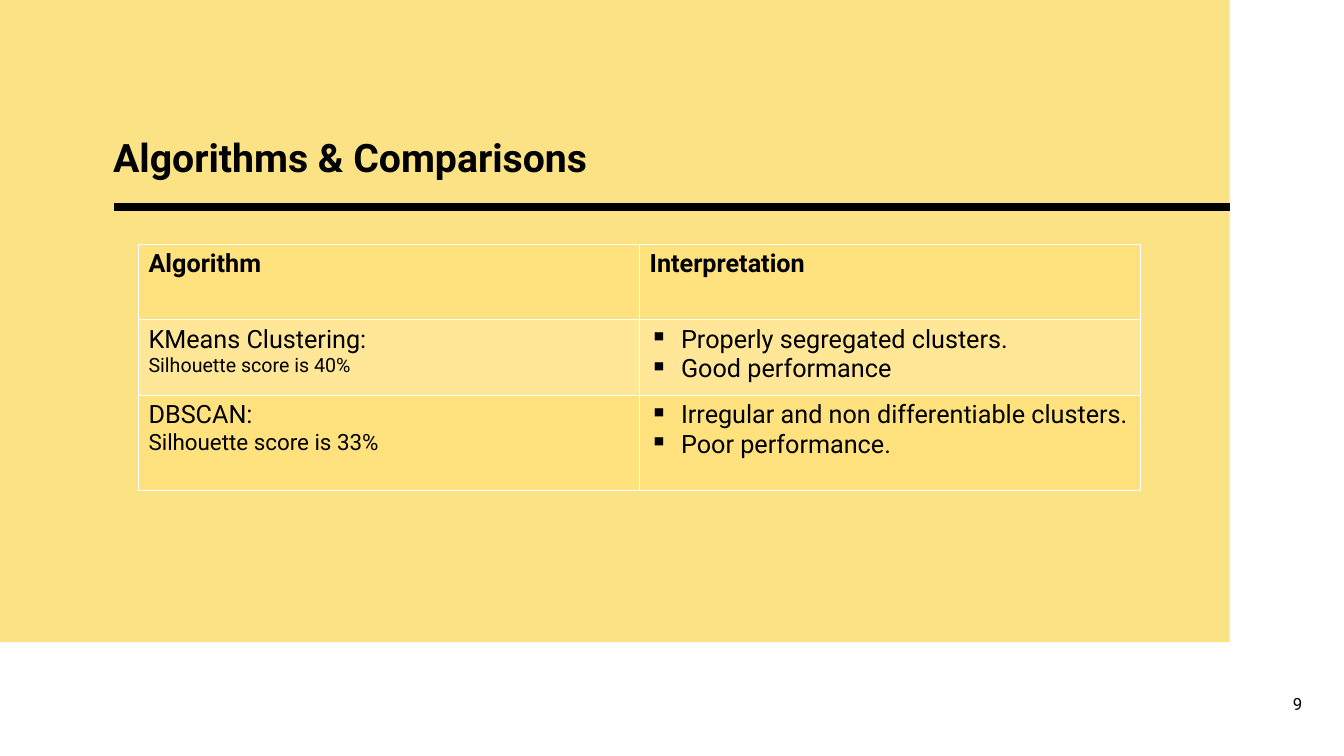
from lxml.etree import SubElement
from pptx import Presentation
from pptx.dml.color import RGBColor
from pptx.enum.shapes import MSO_CONNECTOR, MSO_SHAPE
from pptx.enum.text import MSO_ANCHOR, MSO_AUTO_SIZE, PP_ALIGN
from pptx.oxml.ns import qn
from pptx.util import Cm, Pt

BLACK = RGBColor(0x00, 0x00, 0x00)
WHITE = RGBColor(0xFF, 0xFF, 0xFF)
BAND_YELLOW = RGBColor(0xFB, 0xE2, 0x84)
CELL_YELLOW = RGBColor(0xFF, 0xE1, 0x7D)
PALE_YELLOW = RGBColor(0xFF, 0xE7, 0x97)
FONT = "Roboto"

TITLE = "Algorithms & Comparisons"
PAGE_NUMBER = "9"
HEADINGS = ("Algorithm", "Interpretation")
# name, score, score size in points, findings
ALGORITHMS = [
    ("KMeans Clustering:", "Silhouette score is 40%", 14,
     ("Properly segregated clusters.", "Good performance")),
    ("DBSCAN:", "Silhouette score is 33%", 16,
     ("Irregular and non differentiable clusters.", "Poor performance.")),
]
ROW_HEIGHTS = (Cm(1.9), Cm(1.9), Cm(2.41))
ROW_FILLS = (CELL_YELLOW, PALE_YELLOW, CELL_YELLOW)
COLUMN_WIDTH = Cm(12.63)
BAND_WIDTH, BAND_HEIGHT = Cm(30.99), Cm(16.18)
RULE_LEFT, RULE_TOP = Cm(2.87), Cm(5.21)


def set_attributes(target, values):
    for name, value in values.items():
        setattr(target, name, value)


def write_lines(frame, lines, bullet=None, align=PP_ALIGN.LEFT):
    """Fill a text frame with one paragraph per (text, size, bold) line."""
    for number, (text, size, bold) in enumerate(lines):
        para = frame.add_paragraph() if number else frame.paragraphs[0]
        para.alignment = align
        span = para.add_run()
        span.text = text
        set_attributes(span.font, {"name": FONT, "size": Pt(size), "bold": bold})
        span.font.color.rgb = BLACK
        if bullet:
            properties = para._p.get_or_add_pPr()
            properties.set("marL", str(Cm(0.79)))
            properties.set("indent", str(-Cm(0.79)))
            SubElement(properties, qn("a:buChar"), char=bullet)


def style_cell(cell, color):
    """Give a cell white borders on all sides and a solid fill."""
    properties = cell._tc.get_or_add_tcPr()
    for side in ("a:lnL", "a:lnR", "a:lnT", "a:lnB"):
        border = SubElement(properties, qn(side), w=str(Pt(1)))
        paint = SubElement(border, qn("a:solidFill"))
        SubElement(paint, qn("a:srgbClr"), val=str(WHITE))
    cell.fill.solid()
    cell.fill.fore_color.rgb = color


def add_background(page):
    band = page.shapes.add_shape(MSO_SHAPE.RECTANGLE, 0, 0, BAND_WIDTH, BAND_HEIGHT)
    band.shadow.inherit = False
    band.fill.solid()
    band.fill.fore_color.rgb = BAND_YELLOW
    band.line.fill.background()
    page.shapes.title.element.addprevious(band.element)

    rule = page.shapes.add_connector(
        MSO_CONNECTOR.STRAIGHT, RULE_LEFT, RULE_TOP, BAND_WIDTH, RULE_TOP)
    rule.line.color.rgb = BLACK
    rule.line.width = Pt(6)
    SubElement(rule.element.spPr, qn("a:effectLst"))


def add_title(page):
    title = page.shapes.title
    set_attributes(title, {"left": Cm(2.85), "top": Cm(2.77),
                           "width": Cm(28.04), "height": Cm(1.8)})
    frame = title.text_frame
    set_attributes(frame, {
        "margin_left": 0, "margin_top": 0, "margin_right": 0, "margin_bottom": 0,
        "vertical_anchor": MSO_ANCHOR.BOTTOM, "word_wrap": True,
        "auto_size": MSO_AUTO_SIZE.NONE})
    write_lines(frame, [(TITLE, 28, True)])
    frame.paragraphs[0].line_spacing = 0.9


def add_comparison(page):
    table = page.shapes.add_table(
        len(ROW_HEIGHTS), len(HEADINGS), Cm(3.49), Cm(6.16),
        COLUMN_WIDTH * len(HEADINGS), sum(ROW_HEIGHTS)).table
    for column in table.columns:
        column.width = COLUMN_WIDTH
    for row, height, color in zip(table.rows, ROW_HEIGHTS, ROW_FILLS):
        row.height = height
        for cell in row.cells:
            style_cell(cell, color)
    for column, heading in enumerate(HEADINGS):
        write_lines(table.cell(0, column).text_frame, [(heading, 18, True)])
    for row, (name, score, score_size, findings) in enumerate(ALGORITHMS, 1):
        write_lines(table.cell(row, 0).text_frame,
                    [(name, 18, False), (score, score_size, False)])
        write_lines(table.cell(row, 1).text_frame,
                    [(finding, 18, False) for finding in findings], bullet="▪")


def add_page_number(page):
    box = page.shapes.add_textbox(Cm(31.93), Cm(17.48), Cm(1.14), Cm(0.51))
    set_attributes(box.text_frame, {"word_wrap": True,
                                    "vertical_anchor": MSO_ANCHOR.MIDDLE})
    write_lines(box.text_frame, [(PAGE_NUMBER, 12, False)], align=PP_ALIGN.RIGHT)


def main():
    deck = Presentation()
    set_attributes(deck, {"slide_width": Cm(33.87), "slide_height": Cm(19.05)})
    page = deck.slides.add_slide(deck.slide_layouts.get_by_name("Title Only"))
    add_background(page)
    add_title(page)
    add_comparison(page)
    add_page_number(page)
    deck.save("out.pptx")


if __name__ == "__main__":
    main()
